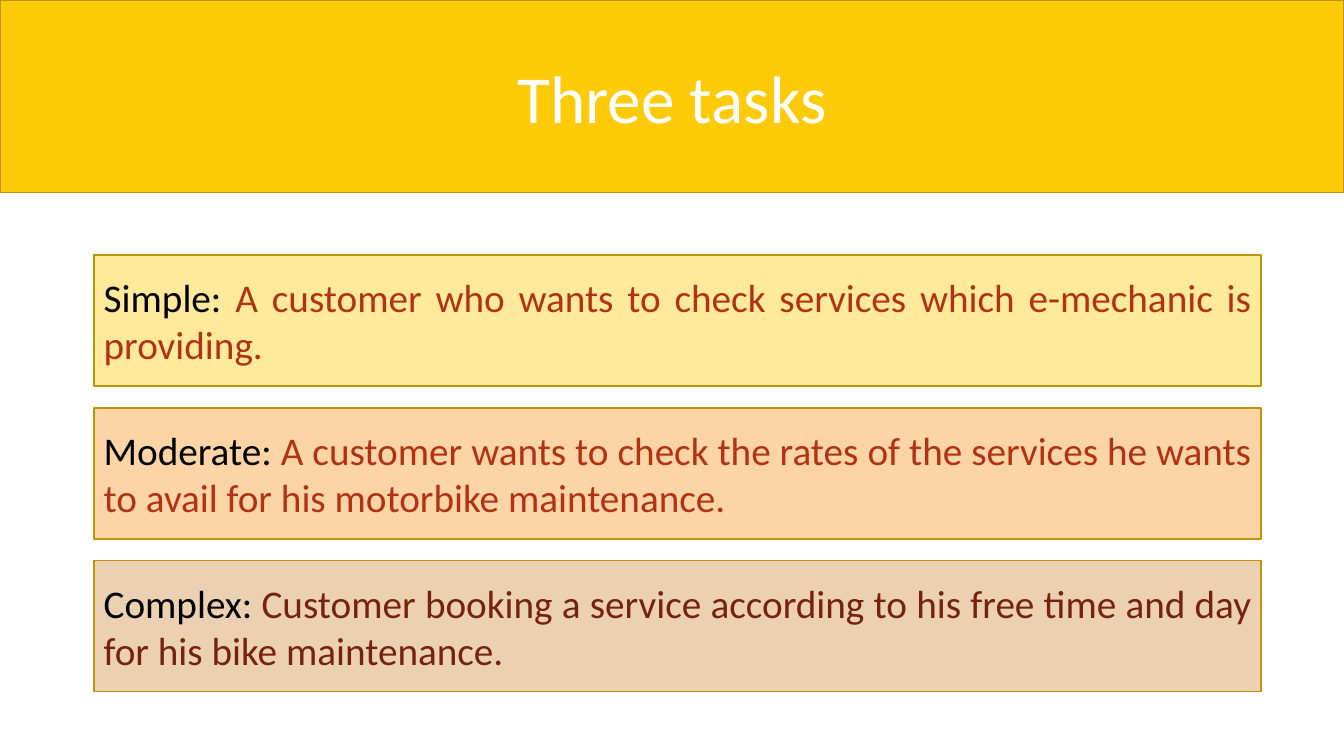
from pptx import Presentation
from pptx.dml.color import RGBColor as Rgb
from pptx.enum.shapes import MSO_SHAPE as Shape
from pptx.enum.text import MSO_ANCHOR as Anchor, MSO_AUTO_SIZE as AutoSize, PP_ALIGN as Align
from pptx.util import Inches, Pt

COLOURS = {
    "banner": "FFCA08", "border": "BD9506", "white": "FFFFFF", "label": "000000",
    "simple": "FFEA9C", "moderate": "FCD4A5", "complex": "EBD1B2",
    "red": "B23214", "brown": "77220E",
}
TASKS = [
    ("Simple: ", "A customer who wants to check services which e-mechanic is providing.",
     "simple", "red"),
    ("Moderate: ", "A customer wants to check the rates of the services he wants to avail "
     "for his motorbike maintenance.", "moderate", "red"),
    ("Complex: ", "Customer booking a service according to his free time and day "
     "for his bike maintenance.", "complex", "brown"),
]
WIDTH, HEIGHT = 13.33, 7.5
BANNER_BOX = (0, 0, WIDTH, 1.91)
TASKS_BOX = (0.93, 2.53, 11.58, 4.33)
TASK_HEIGHT = 1.3


def colour(name):
    """Return the named colour."""
    return Rgb.from_string(COLOURS[name])


def style_panel(panel, fill):
    """Give a panel its fill, border and text frame settings."""
    panel.fill.solid()
    panel.fill.fore_color.rgb = colour(fill)
    panel.line.color.rgb = colour("border")
    panel.line.width = Pt(1.25)
    settings = {"word_wrap": True, "auto_size": AutoSize.NONE, "vertical_anchor": Anchor.MIDDLE}
    for key, value in settings.items():
        setattr(panel.text_frame, key, value)


def write_paragraph(panel, spans, size, align):
    """Write coloured spans as the only paragraph of a panel."""
    para = panel.text_frame.paragraphs[0]
    para.alignment = align
    for text, name in spans:
        span = para.add_run()
        span.text = text
        for key, value in {"name": "Calibri", "size": Pt(size)}.items():
            setattr(span.font, key, value)
        span.font.color.rgb = colour(name)


def add_banner(page, box):
    """Turn the title placeholder into the banner."""
    title = page.shapes.title
    for key, value in zip(("left", "top", "width", "height"), box):
        setattr(title, key, Inches(value))
    style_panel(title, "banner")
    write_paragraph(title, [("Three tasks", "white")], 48, Align.CENTER)


def add_tasks(page, box):
    """Stack the task panels evenly in the box."""
    left, top, width, height = box
    step = (height - TASK_HEIGHT) / (len(TASKS) - 1)
    for row, (label, text, fill, ink) in enumerate(TASKS):
        place = (left, top + row * step, width, TASK_HEIGHT)
        panel = page.shapes.add_shape(Shape.RECTANGLE, *map(Inches, place))
        panel.shadow.inherit = False
        style_panel(panel, fill)
        write_paragraph(panel, [(label, "label"), (text, ink)], 28, Align.JUSTIFY)


def main():
    """Build and save the deck."""
    deck = Presentation()
    deck.slide_width, deck.slide_height = Inches(WIDTH), Inches(HEIGHT)
    page = deck.slides.add_slide(deck.slide_layouts[5])
    add_banner(page, BANNER_BOX)
    add_tasks(page, TASKS_BOX)
    deck.save("out.pptx")


if __name__ == "__main__":
    main()
